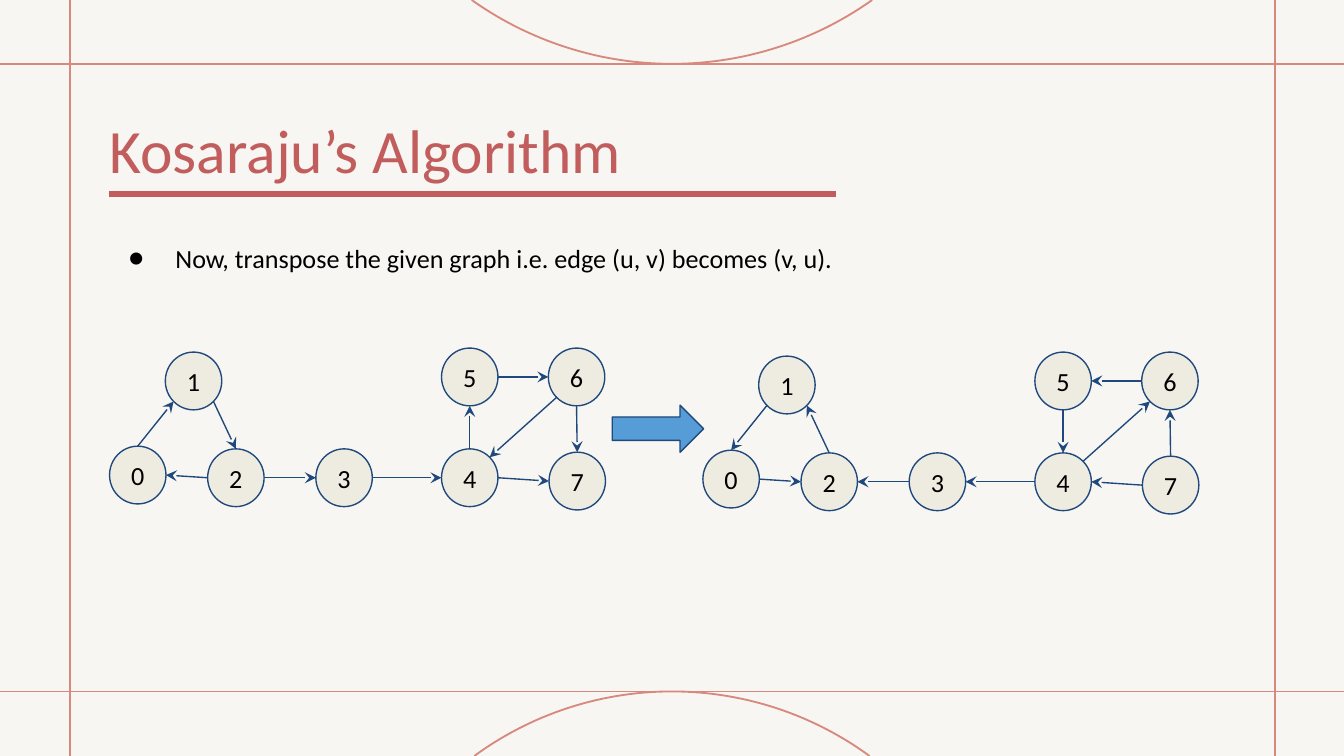
import math

from lxml import etree
from pptx import Presentation
from pptx.dml.color import RGBColor
from pptx.enum.shapes import MSO_CONNECTOR, MSO_SHAPE
from pptx.enum.text import MSO_ANCHOR, MSO_AUTO_SIZE, PP_ALIGN
from pptx.oxml.ns import qn
from pptx.util import Pt

PX = 4572  # 200 px to the inch
WIDTH, HEIGHT = 2000, 1125
FONT = "Calibri"
COLORS = {
    "paper": "F8F6F2",
    "frame": "D8897E",
    "accent": "C25D5D",
    "node": "EEECE1",
    "edge": "1F497D",
    "arrow": "569CD6",
    "text": "000000",
}
OVAL, RIGHT_ARROW = MSO_SHAPE.OVAL, MSO_SHAPE.RIGHT_ARROW
STRAIGHT = MSO_CONNECTOR.STRAIGHT
LEFT, CENTER = PP_ALIGN.LEFT, PP_ALIGN.CENTER
TOP, MIDDLE = MSO_ANCHOR.TOP, MSO_ANCHOR.MIDDLE
NO_AUTOFIT = MSO_AUTO_SIZE.NONE

NODE_WIDTH, NODE_HEIGHT = 84, 86
NODES = {
    "0": (0, 146), "1": (83, 6), "2": (146, 150), "3": (307, 150),
    "4": (494, 150), "5": (494, 0), "6": (653, 0), "7": (654, 155),
}
# Each edge runs from a node and its compass side to another node and side.
EDGES = [
    ("0", "N", "1", "SW"), ("1", "SE", "2", "N"), ("2", "W", "0", "E"),
    ("2", "E", "3", "W"), ("3", "E", "4", "W"), ("4", "N", "5", "S"),
    ("5", "E", "6", "W"), ("6", "S", "7", "N"), ("6", "SW", "4", "NE"),
    ("4", "E", "7", "W"),
]
SIDE_ANGLES = {"E": 0, "SE": 45, "S": 90, "SW": 135, "W": 180, "N": 270, "NE": 315}


def color(name):
    return RGBColor.from_string(COLORS[name])


def emu(*lengths):
    return [round(length * PX) for length in lengths]


def place(shape, box):
    shape.left, shape.top, shape.width, shape.height = emu(*box)


def write(shape, text, size, ink="text", align=LEFT, anchor=TOP, inset=20):
    frame = shape.text_frame
    frame.word_wrap = True
    frame.auto_size = NO_AUTOFIT
    frame.vertical_anchor = anchor
    frame.margin_left, frame.margin_top, frame.margin_right, frame.margin_bottom = emu(*[inset] * 4)
    para = frame.paragraphs[0]
    para.alignment = align
    para.space_before = Pt(0)
    span = para.add_run()
    span.text = text
    span.font.name = FONT
    span.font.size = Pt(size)
    span.font.color.rgb = color(ink)
    return para


def add_line(page, start, end, ink, weight, arrow=False):
    line = page.shapes.add_connector(STRAIGHT, *emu(*start, *end))
    line.line.color.rgb = color(ink)
    line.line.width = Pt(weight)
    if arrow:
        etree.SubElement(line.line._get_or_add_ln(), qn("a:tailEnd"), type="stealth")
    etree.SubElement(line._element.spPr, qn("a:effectLst"))


def add_solid(page, kind, box, fill):
    shape = page.shapes.add_shape(kind, *emu(*box))
    shape.shadow.inherit = False
    shape.fill.solid()
    shape.fill.fore_color.rgb = color(fill)
    shape.line.color.rgb = color("edge")
    shape.line.width = Pt(0.75)
    return shape


def add_arc(page, half_chord, edge_y, crest_y):
    """Draw the part of a centred circle between the page edge and its crest."""
    sag = abs(crest_y - edge_y)
    inward = 1 if crest_y > edge_y else -1
    radius = (half_chord ** 2 + sag ** 2) / (2 * sag)
    spread = math.asin(half_chord / radius)
    steps = 60
    points = []
    for step in range(steps + 1):
        angle = spread * (2 * step / steps - 1)
        drop = radius * (1 - math.cos(angle))
        points.append(emu(WIDTH / 2 + radius * math.sin(angle), crest_y - inward * drop))
    builder = page.shapes.build_freeform(*points[0])
    builder.add_line_segments(points[1:], close=False)
    arc = builder.convert_to_shape()
    arc.shadow.inherit = False
    arc.fill.background()
    arc.line.color.rgb = color("frame")
    arc.line.width = Pt(1)


def draw_frame(page, box):
    left, top, width, height = box
    page.background.fill.solid()
    page.background.fill.fore_color.rgb = color("paper")
    for y in (top, top + height):
        add_line(page, (0, y), (WIDTH, y), "frame", 1)
    for x in (left, left + width):
        add_line(page, (x, 0), (x, HEIGHT), "frame", 1)
    add_arc(page, 298, 0, top)
    add_arc(page, 294, HEIGHT, top + height)


def draw_heading(page, box):
    left, top, width, height = box
    title = page.shapes.title
    place(title, box)
    write(title, "Kosaraju’s Algorithm", 33, ink="accent", inset=0)
    rule_y = top + height + 11
    add_line(page, (left - 1, rule_y), (left + 1081, rule_y), "accent", 3)


def draw_bullet(page, box):
    body = page.placeholders[1]
    place(body, box)
    para = write(body, "Now, transpose the given graph i.e. edge (u, v) becomes (v, u).", 14)
    margin, indent = emu(100, -70)
    properties = para._p.get_or_add_pPr()
    properties.set("marL", str(margin))
    properties.set("indent", str(indent))
    bullet_color = etree.SubElement(properties, qn("a:buClr"))
    etree.SubElement(bullet_color, qn("a:srgbClr"), val=COLORS["text"])
    etree.SubElement(properties, qn("a:buFont"), typeface=FONT)
    etree.SubElement(properties, qn("a:buChar"), char="●")


def draw_graph(page, box, transposed=False):
    left, top = box[:2]

    def port(node, side):
        x, y = NODES[node]
        angle = math.radians(SIDE_ANGLES[side])
        return (left + x + NODE_WIDTH / 2 * (1 + math.cos(angle)),
                top + y + NODE_HEIGHT / 2 * (1 + math.sin(angle)))

    for label, (x, y) in NODES.items():
        node = add_solid(page, OVAL, (left + x, top + y, NODE_WIDTH, NODE_HEIGHT), "node")
        write(node, label, 14, align=CENTER, anchor=MIDDLE)
    for source, source_side, target, target_side in EDGES:
        ends = [port(source, source_side), port(target, target_side)]
        if transposed:
            ends.reverse()
        add_line(page, *ends, "edge", 0.75, arrow=True)


def main():
    deck = Presentation()
    deck.slide_width, deck.slide_height = emu(WIDTH, HEIGHT)
    page = deck.slides.add_slide(deck.slide_layouts[1])
    draw_frame(page, (104, 95, 1793, 934))
    draw_heading(page, (163, 166, 924, 112))
    draw_bullet(page, (141, 340, 1168, 88))
    draw_graph(page, (163, 518, 738, 241))
    draw_graph(page, (1046, 524, 738, 241), transposed=True)
    add_solid(page, RIGHT_ARROW, (911, 603, 136, 70), "arrow")
    deck.save("out.pptx")


if __name__ == "__main__":
    main()
